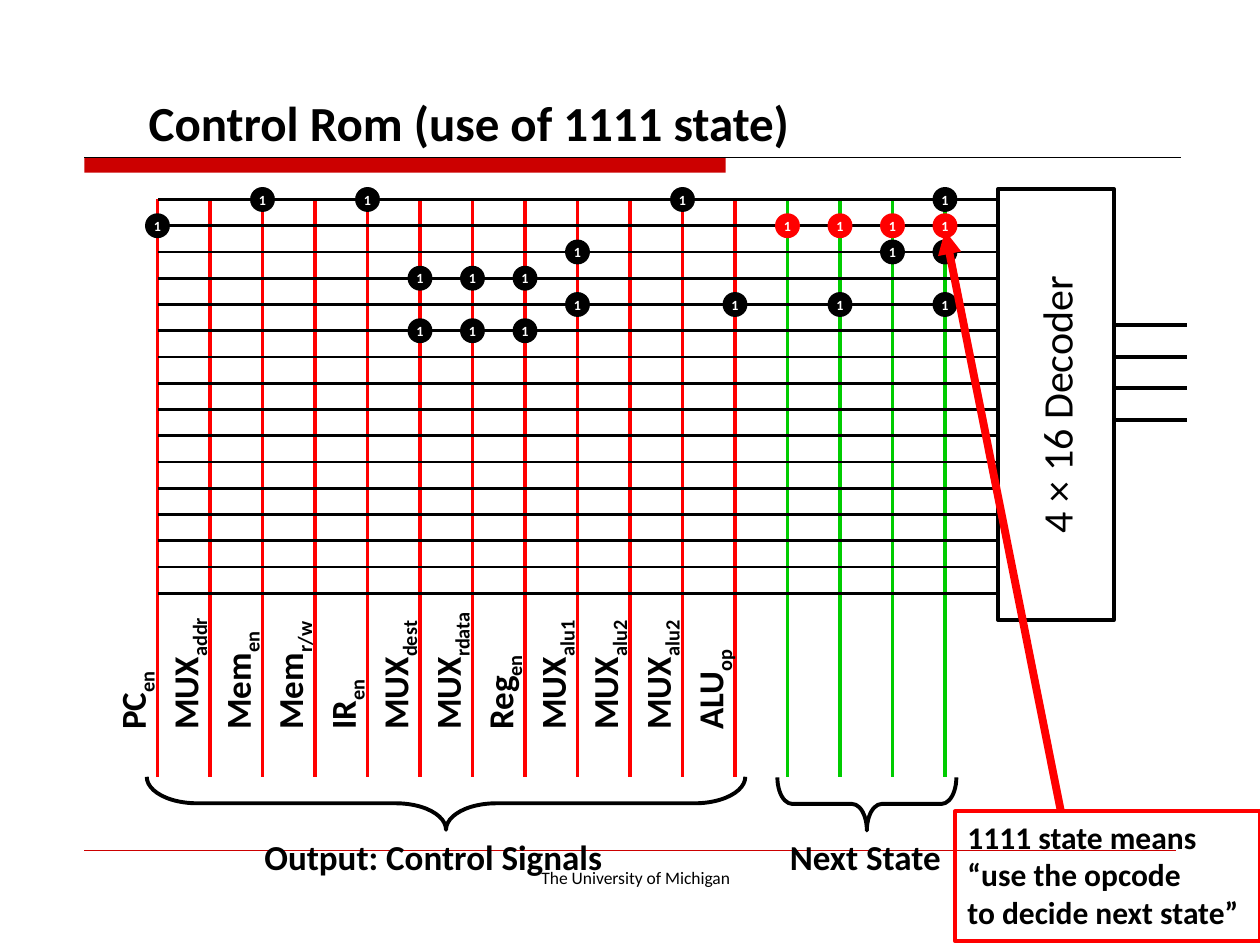
import pptx
import pptx.util
import pptx.dml.color
import pptx.enum.shapes
import pptx.enum.text
import pptx.oxml
import pptx.oxml.ns
from pptx.util import Inches

BLACK, WHITE, RED, GREEN, CRIMSON = "000000", "FFFFFF", "FF0000", "00CC00", "CC0000"
SHAPES = pptx.enum.shapes.MSO_SHAPE
ALIGN = pptx.enum.text.PP_ALIGN
ANCHOR = pptx.enum.text.MSO_ANCHOR

LEFT, COLUMN_STEP = 1.25, 5 / 12
TOP, ROW_STEP, ROW_COUNT = 19 / 12, 5 / 24, 16
DECODER_EDGE, SIGNAL_BOTTOM, LABEL_BOTTOM = 7.92, 6.17, 5.89

SIGNALS = [
    ("PC", "en", 0.69), ("MUX", "addr", 1.17), ("Mem", "en", 1.01),
    ("Mem", "r/w", 1.1), ("IR", "en", 0.62), ("MUX", "dest", 1.11),
    ("MUX", "rdata", 1.22), ("Reg", "en", 0.85), ("MUX", "alu1", 1.13),
    ("MUX", "alu2", 1.13), ("MUX", "alu2", 1.13), ("ALU", "op", 0.98),
]
NEXT_STATE_BITS = 4
ONES = {0: [2, 4, 10, 15], 1: [0, 12, 13, 14, 15], 2: [8, 14, 15],
        3: [5, 6, 7], 4: [8, 11, 13, 15], 5: [5, 6, 7]}
OPCODE_STATE_ROW = 1
UNMARKED = (2, 15)


def rgb(value):
    return pptx.dml.color.RGBColor.from_string(value)


def write(frame, *paragraphs, size=20, bold=True, color=BLACK, align=ALIGN.LEFT,
          anchor=ANCHOR.TOP, wrap=True, inset=(0.1, 0.05), subscript=""):
    frame.word_wrap = wrap
    frame.vertical_anchor = anchor
    frame.margin_left = frame.margin_right = Inches(inset[0])
    frame.margin_top = frame.margin_bottom = Inches(inset[1])
    for index, text in enumerate(paragraphs):
        paragraph = frame.add_paragraph() if index else frame.paragraphs[0]
        paragraph.alignment = align
        for part, baseline in ((text, None), (subscript, "-25000")):
            if not part:
                continue
            run = paragraph.add_run()
            run.text = part
            run.font.name = "Calibri"
            run.font.size = pptx.util.Pt(size)
            run.font.bold = bold
            run.font.color.rgb = rgb(color)
            if baseline:
                run.font.language_id = None
                run._r.get_or_add_rPr().set("baseline", baseline)


class Diagram:
    def __init__(self, slide, line_width=2.25):
        self.slide = slide
        self.line_width = line_width

    def title(self, text, left, top, width, height):
        heading = self.slide.shapes.title
        heading.left, heading.top = Inches(left), Inches(top)
        heading.width, heading.height = Inches(width), Inches(height)
        write(heading.text_frame, text, size=28, anchor=ANCHOR.BOTTOM)

    def text(self, text, left, top, width, height, rotation=0, **style):
        box = self.slide.shapes.add_textbox(
            Inches(left), Inches(top), Inches(width), Inches(height))
        box.rotation = rotation
        write(box.text_frame, text, **style)

    def shape(self, kind, left, top, width, height, fill=None, line=BLACK, rotation=0):
        shape = self.slide.shapes.add_shape(
            kind, Inches(left), Inches(top), Inches(width), Inches(height))
        shape.shadow.inherit = False
        shape.rotation = rotation
        if fill:
            shape.fill.solid()
            shape.fill.fore_color.rgb = rgb(fill)
        else:
            shape.fill.background()
        if line:
            shape.line.color.rgb = rgb(line)
            shape.line.width = pptx.util.Pt(self.line_width)
        else:
            shape.line.fill.background()
        return shape

    def line(self, x1, y1, x2, y2, color=BLACK, width=None, arrow=False):
        connector = self.slide.shapes.add_connector(
            pptx.enum.shapes.MSO_CONNECTOR.STRAIGHT,
            Inches(x1), Inches(y1), Inches(x2), Inches(y2))
        connector.line.color.rgb = rgb(color)
        connector.line.width = pptx.util.Pt(width or self.line_width)
        if arrow:
            outline = connector.line._get_or_add_ln()
            outline.append(pptx.oxml.parse_xml(
                f'<a:tailEnd {pptx.oxml.ns.nsdecls("a")} type="triangle"/>'))
        connector._element.spPr.append(pptx.oxml.parse_xml(
            f'<a:effectLst {pptx.oxml.ns.nsdecls("a")}/>'))

    def brace(self, left, top, width, height, curve):
        brace = self.shape(SHAPES.LEFT_BRACE, left, top, width, height, rotation=270)
        brace.adjustments[0] = curve
        brace.adjustments[1] = 0.5

    def dot(self, x, y, color, text):
        size = 1 / 6
        dot = self.shape(SHAPES.OVAL, x - size / 2, y - size / 2, size, size, color, color)
        if text:
            write(dot.text_frame, text, size=8, color=WHITE, align=ALIGN.CENTER,
                  anchor=ANCHOR.MIDDLE, wrap=False, inset=(0, 0))


def column_x(column):
    return LEFT + column * COLUMN_STEP


def row_y(row):
    return TOP + row * ROW_STEP


def main():
    deck = pptx.Presentation()
    deck.slide_width, deck.slide_height = Inches(10), Inches(7.5)
    diagram = Diagram(deck.slides.add_slide(deck.slide_layouts[5]))

    diagram.shape(SHAPES.RECTANGLE, 0.67, 1.25, 5.09, 0.12, CRIMSON, None)
    diagram.line(0.67, 1.25, 9.37, 1.25, BLACK, 0.5)
    diagram.line(0.67, 6.75, 9.33, 6.75, CRIMSON, 0.25)
    diagram.text("The University of Michigan", 3.17, 6.83, 3.75, 0.27,
                 size=10, bold=False, align=ALIGN.CENTER)
    diagram.title("Control Rom (use of 1111 state)", 1.08, 0, 8.33, 1.25)

    decoder = diagram.shape(SHAPES.RECTANGLE, 6.67, 2.75, 3.42, 0.92, rotation=270)
    write(decoder.text_frame, "4 × 16 Decoder", size=24, bold=False,
          align=ALIGN.CENTER, anchor=ANCHOR.MIDDLE)
    for bit in range(4):
        y = 2.58 + bit * 0.25
        diagram.line(8.83, y, 9.42, y)

    for column in range(len(SIGNALS) + NEXT_STATE_BITS):
        color = RED if column < len(SIGNALS) else GREEN
        diagram.line(column_x(column), TOP, column_x(column), SIGNAL_BOTTOM, color)
    for row in range(ROW_COUNT):
        diagram.line(DECODER_EDGE, row_y(row), LEFT, row_y(row), width=1.5)

    label_height = 0.44
    for column, (signal, subscript, width) in enumerate(SIGNALS):
        diagram.text(signal, column_x(column) - 0.2 - width / 2,
                     LABEL_BOTTOM - width / 2 - label_height / 2, width, label_height,
                     rotation=270, subscript=subscript, wrap=False)

    diagram.brace(3.33, 4, 0.42, 4.75, 0.95)
    diagram.text("Output: Control Signals", 2, 6.58, 2.9, 0.44, wrap=False)
    diagram.brace(6.67, 5.67, 0.42, 1.42, 0.28)
    diagram.text("Next State", 6.17, 6.58, 1.43, 0.44, wrap=False)

    for row, columns in ONES.items():
        for column in columns:
            opcode_bit = row == OPCODE_STATE_ROW and column >= len(SIGNALS)
            diagram.dot(column_x(column), row_y(row), RED if opcode_bit else BLACK,
                        "" if (row, column) == UNMARKED else "1")

    callout = diagram.shape(SHAPES.RECTANGLE, 7.58, 6.44, 2.42, 1.03, line=RED)
    write(callout.text_frame, "1111 state means “use the opcode",
          "to decide next state”", size=18)
    diagram.line(8.42, 6.44, 7.5, 1.83, RED, 4.5, arrow=True)

    deck.save("out.pptx")


if __name__ == "__main__":
    main()
